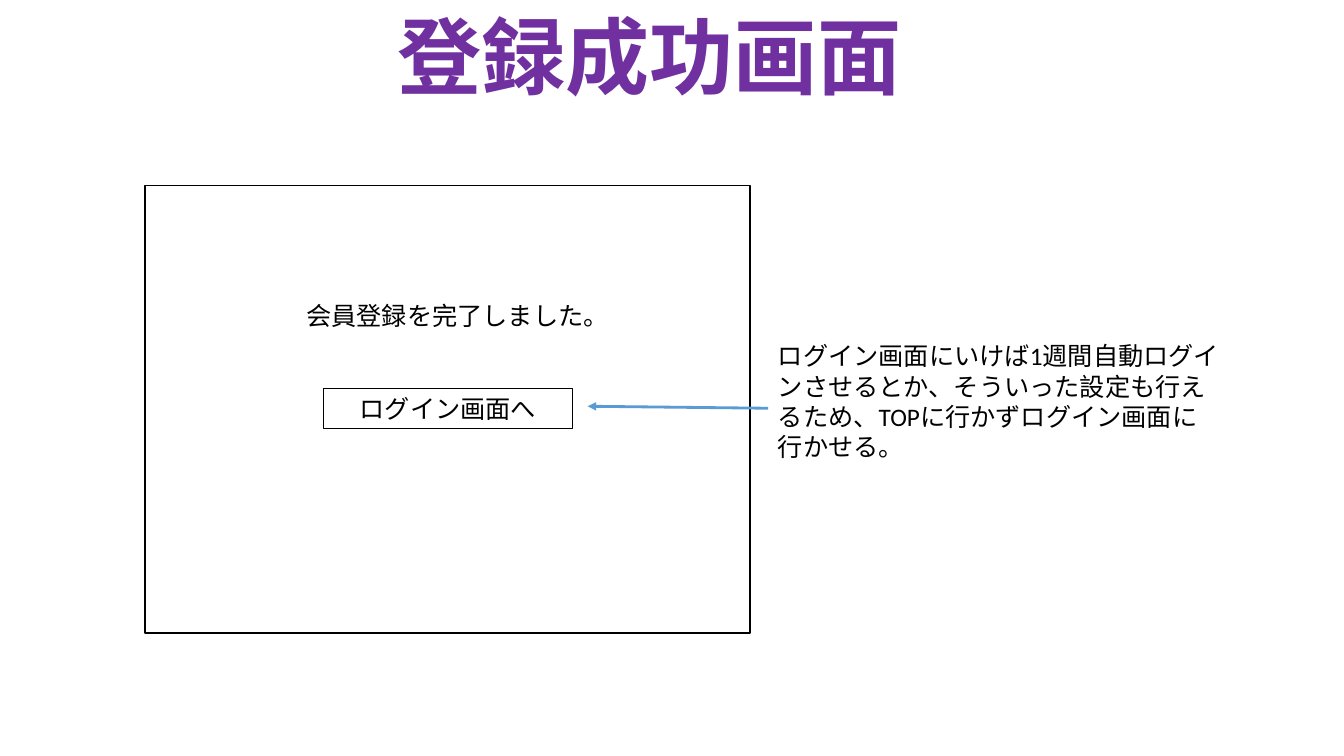
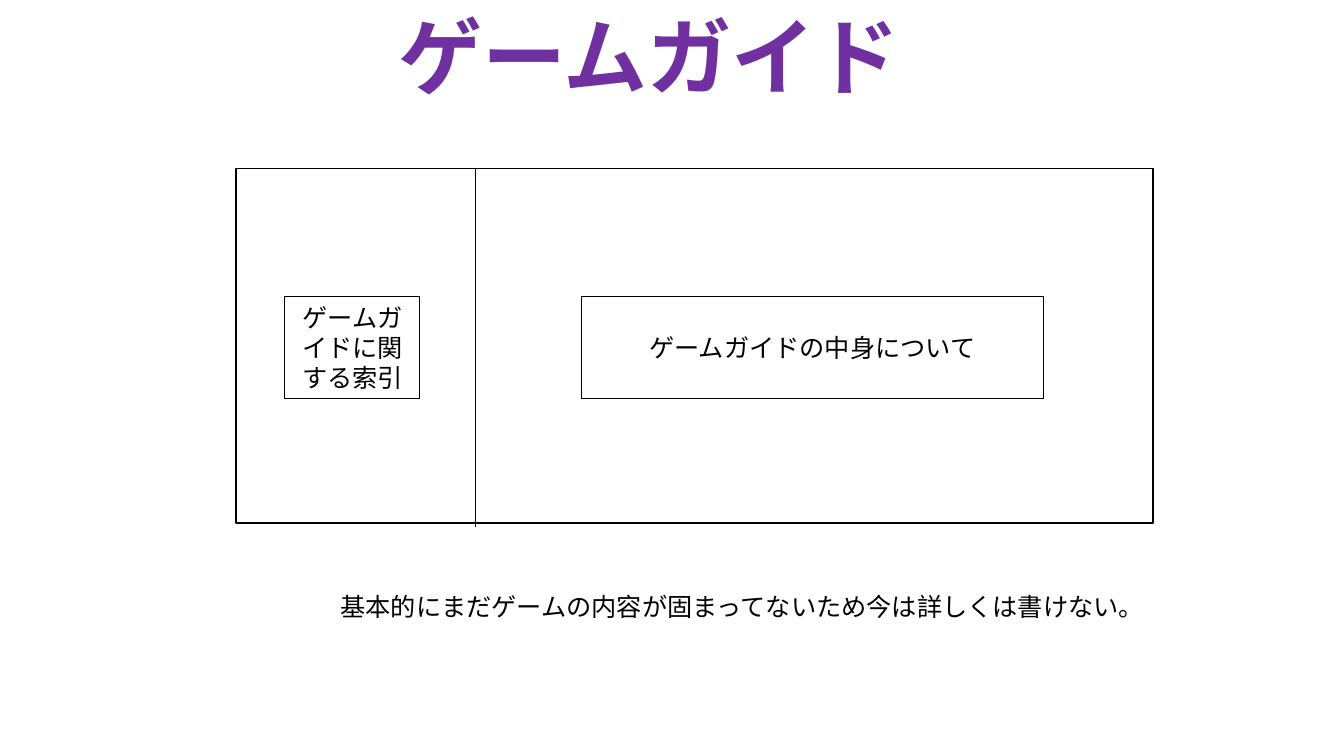
from lxml.etree import SubElement
from pptx import Presentation
from pptx.dml.color import RGBColor
from pptx.enum.shapes import MSO_CONNECTOR, MSO_SHAPE
from pptx.enum.text import MSO_ANCHOR, PP_ALIGN
from pptx.oxml.ns import qn
from pptx.util import Pt

PURPLE = RGBColor(0x70, 0x30, 0xA0)
BLACK = RGBColor(0x00, 0x00, 0x00)
BLUE = RGBColor(0x5B, 0x9B, 0xD5)
TITLE_FORMAT = {"name": "Calibri", "size": Pt(60), "bold": True}
BODY_FORMAT = {"name": "Calibri", "size": Pt(18), "bold": False}
TITLE_BOX = (103.7, 8, 720, 85.7)

# Boxes are left, top, width, height; lines are start x, y and end x, y.
SCREENS = [
    {
        "title": "登録成功画面",
        "frame": (103.7, 132.5, 432, 319.7),
        "labels": [("ログイン画面へ", (231.1, 277.2, 177.8, 29))],
        "notes": [
            ("会員登録を完了しました。", (211.7, 211, 241.2, 29)),
            ("ログイン画面にいけば1週間自動ログインさせるとか、そういった設定も"
             "行えるため、TOPに行かずログイン画面に行かせる。",
             (548.6, 239.8, 330.5, 72.7)),
        ],
        "line": ((548.6, 291.6, 419.8, 290.2), BLUE, 2, True),
    },
    {
        "title": "ゲームガイド",
        "frame": (168.5, 120.2, 655.2, 253.4),
        "labels": [
            ("ゲームガイドに関する索引", (203.5, 211.7, 96.5, 72.7)),
            ("ゲームガイドの中身について", (415.4, 211.7, 329.8, 72.7)),
        ],
        "notes": [("基本的にまだゲームの内容が固まってないため今は詳しくは書けない。",
                   (236.2, 419, 573.8, 29))],
        "line": ((339.8, 120.2, 339.8, 376.6), BLACK, 1, False),
    },
]


def write_text(shape, text, formats, color, alignment, anchor):
    frame = shape.text_frame
    frame.word_wrap = True
    frame.vertical_anchor = anchor
    paragraph = frame.paragraphs[0]
    paragraph.alignment = alignment
    run = paragraph.add_run()
    run.text = text
    for attribute, value in formats.items():
        setattr(run.font, attribute, value)
    run.font.color.rgb = color
    return paragraph


def add_outline(slide, box, width):
    shape = slide.shapes.add_shape(MSO_SHAPE.RECTANGLE, *map(Pt, box))
    shape.shadow.inherit = False
    shape.fill.background()
    shape.line.color.rgb = BLACK
    shape.line.width = Pt(width)
    return shape


presentation = Presentation()
presentation.slide_width = Pt(960)
presentation.slide_height = Pt(540)

for screen in SCREENS:
    slide = presentation.slides.add_slide(presentation.slide_layouts[5])
    title = slide.shapes.title
    title.left, title.top, title.width, title.height = map(Pt, TITLE_BOX)
    paragraph = write_text(title, screen["title"], TITLE_FORMAT, PURPLE,
                           PP_ALIGN.CENTER, MSO_ANCHOR.TOP)
    paragraph.line_spacing = 0.9

    add_outline(slide, screen["frame"], 1)
    for text, box in screen["labels"]:
        label = add_outline(slide, box, 0.75)
        write_text(label, text, BODY_FORMAT, BLACK, PP_ALIGN.CENTER, MSO_ANCHOR.MIDDLE)
    for text, box in screen["notes"]:
        note = slide.shapes.add_textbox(*map(Pt, box))
        write_text(note, text, BODY_FORMAT, BLACK, PP_ALIGN.LEFT, MSO_ANCHOR.TOP)

    ends, color, width, has_arrow = screen["line"]
    connector = slide.shapes.add_connector(MSO_CONNECTOR.STRAIGHT, *map(Pt, ends))
    connector.line.color.rgb = color
    connector.line.width = Pt(width)
    if has_arrow:
        SubElement(connector.line._get_or_add_ln(), qn("a:tailEnd"), type="triangle")
    SubElement(connector._element.spPr, qn("a:effectLst"))

presentation.save("out.pptx")
